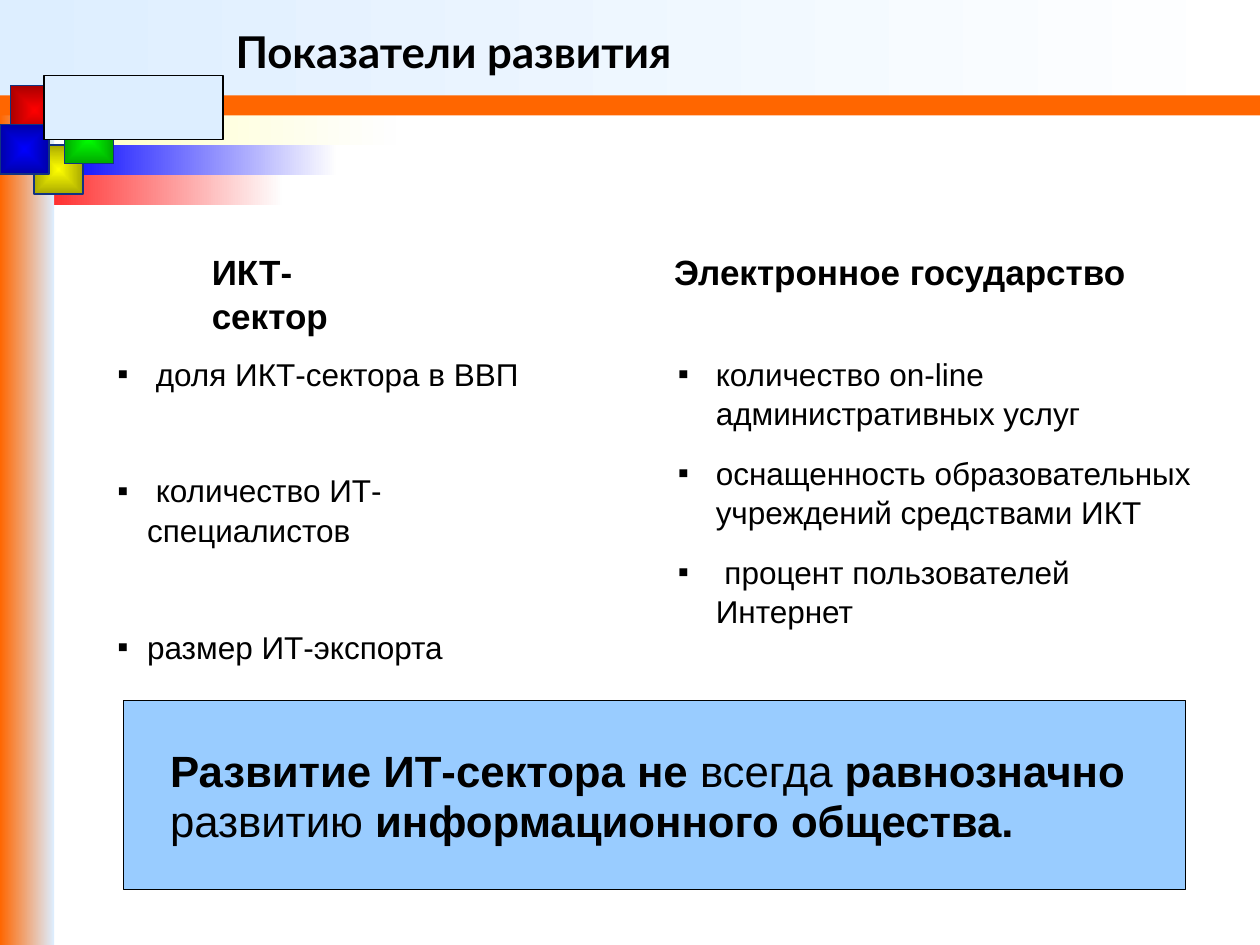
"""Build the slide about indicators of ICT sector and e-government development."""
from typing import NamedTuple, Optional

from lxml import etree
from pptx import Presentation
from pptx import util as u
from pptx.dml.color import RGBColor
from pptx.enum import shapes, text
from pptx.oxml import ns

BLACK = "000000"


class Box(NamedTuple):
    x: float
    y: float
    w: float
    h: float


class Panel(NamedTuple):
    box: Box
    start: str
    end: Optional[str] = None
    angle: float = 0
    line: Optional[str] = None
    radial: bool = False


class Run(NamedTuple):
    text: str
    bold: bool = False


class Style(NamedTuple):
    size: float
    font: str = "Arial"
    spacing: float = 1.05
    before: float = 0
    margin: float = 0
    hanging: float = 0
    bullet: str = ""


class Block(NamedTuple):
    idx: int
    box: Box
    paragraphs: list[list[Run]]
    style: Style
    insets: tuple[float, float, float, float] = (7.2, 3.6, 7.2, 3.6)
    anchor: text.MSO_ANCHOR = text.MSO_ANCHOR.TOP


def rgb(value: str) -> RGBColor:
    return RGBColor.from_string(value)


def add_panel(s, panel: Panel):
    sp = s.shapes.add_shape(shapes.MSO_SHAPE.RECTANGLE, *map(u.Pt, panel.box))
    sp.shadow.inherit = False
    if panel.end:
        sp.fill.gradient()
        sp.fill.gradient_angle = panel.angle
        for stop, color in zip(sp.fill.gradient_stops, (panel.start, panel.end)):
            stop.color.rgb = rgb(color)
    else:
        sp.fill.solid()
        sp.fill.fore_color.rgb = rgb(panel.start)
    if panel.radial:
        lin = sp.element.spPr.find(".//" + ns.qn("a:lin"))
        center = etree.Element(ns.qn("a:path"), {"path": "rect"})
        sides = dict.fromkeys("ltrb", "50000")
        etree.SubElement(center, ns.qn("a:fillToRect"), sides)
        lin.getparent().replace(lin, center)
    if panel.line:
        sp.line.color.rgb = rgb(panel.line)
        sp.line.width = u.Pt(0.75)
    else:
        sp.line.fill.background()
    return sp


def add_bullet(p, style: Style) -> None:
    pPr = p._p.get_or_add_pPr()
    pPr.set("marL", str(u.Pt(style.margin)))
    pPr.set("indent", str(u.Pt(-style.hanging)))
    color = etree.SubElement(pPr, ns.qn("a:buClr"))
    etree.SubElement(color, ns.qn("a:srgbClr"), {"val": BLACK})
    etree.SubElement(pPr, ns.qn("a:buFont"), {"typeface": "Arial"})
    etree.SubElement(pPr, ns.qn("a:buChar"), {"char": style.bullet})


def write(sp, block: Block) -> None:
    tf, style = sp.text_frame, block.style
    tf.word_wrap = True
    tf.auto_size = text.MSO_AUTO_SIZE.NONE
    tf.vertical_anchor = block.anchor
    tf.margin_left, tf.margin_top, tf.margin_right, tf.margin_bottom = map(u.Pt, block.insets)
    for i, runs in enumerate(block.paragraphs):
        p = tf.add_paragraph() if i else tf.paragraphs[0]
        if style.bullet:
            add_bullet(p, style)
        p.alignment = text.PP_ALIGN.LEFT
        p.line_spacing = style.spacing
        p.space_before = u.Pt(style.before if i else 0)
        for run in runs:
            r = p.add_run()
            r.text = run.text
            r.font.name = style.font
            r.font.size = u.Pt(style.size)
            r.font.bold = run.bold
            r.font.color.rgb = rgb(BLACK)


def fill_placeholder(s, block: Block) -> None:
    sp = next(ph for ph in s.placeholders if ph.placeholder_format.idx == block.idx)
    sp.left, sp.top, sp.width, sp.height = map(u.Pt, block.box)
    s.shapes.element.append(sp.element)
    write(sp, block)


def strip(row: int, x: float, color: str) -> Panel:
    return Panel(Box(x, 65.5 + 17.3 * row, 161.3, 17.3), "FEFEFE", color, 180)


def square(x: float, y: float, light: str, dark: str) -> Panel:
    return Panel(Box(x, y, 28.1, 28.1), light, dark, line="123381", radial=True)


PANELS = [
    strip(0, 64.8, "FFFFCC"),
    strip(2, 0, "FF0000"),
    Panel(Box(0, 65.5, 31, 474.5), "FF6600", "DDEEFF"),
    strip(1, 31, "0000FF"),
    Panel(Box(0, 0, 720, 60.5), "FFFFFF", "DDEEFF", 180),
    Panel(Box(0, 54.5, 720, 11.5), "FF6600"),
    square(5.8, 49, "FF0000", "A90000"),
    square(19.4, 82.8, "FFFF00", "A9A900"),
    square(36.7, 65.5, "00FF00", "00A900"),
    square(0, 71.3, "0000FF", "0000A9"),
    Panel(Box(25.2, 43.2, 102.2, 36.7), "DDEEFF", line=BLACK),
]

HEADING = Style(20)
BLOCKS = [
    Block(0, Box(127.4, 0, 487.4, 54.7), [[Run("Показатели развития", True)]],
          Style(25, "Lato", 0.85), (7.2, 11.5, 7.2, 2.9), text.MSO_ANCHOR.MIDDLE),
    Block(1, Box(113.8, 138.2, 126.7, 56), [[Run("ИКТ-сектор", True)]], HEADING),
    Block(2, Box(59.8, 198, 277.9, 185),
          [[Run(" доля ИКТ-сектора в ВВП")],
           [Run(" количество ИТ-специалистов")],
           [Run("размер ИТ-экспорта")]],
          Style(18, before=44, margin=17, hanging=17, bullet="▪")),
    Block(3, Box(378, 138.2, 306, 31.7), [[Run("Электронное государство", True)]], HEADING),
    Block(4, Box(360, 198, 336.2, 160),
          [[Run("количество on-line административных услуг")],
           [Run("оснащенность образовательных учреждений средствами ИКТ")],
           [Run(" процент пользователей Интернет")]],
          Style(18, before=11.2, margin=41.8, hanging=21.6, bullet="▪")),
]

CONCLUSION = Block(
    -1, Box(70.6, 400.3, 607, 108),
    [[Run("Развитие ИТ-сектора не", True), Run(" всегда "), Run("равнозначно", True),
      Run(" развитию "), Run("информационного общества.", True)]],
    Style(25, spacing=0.95), (26.6, 9.4, 26.6, 6.5), text.MSO_ANCHOR.MIDDLE)


def main() -> None:
    prs = Presentation()
    prs.slide_width, prs.slide_height = u.Pt(720), u.Pt(540)
    s = prs.slides.add_slide(prs.slide_layouts.get_by_name("Comparison"))
    for panel in PANELS:
        add_panel(s, panel)
    for block in BLOCKS:
        fill_placeholder(s, block)
    sp = add_panel(s, Panel(CONCLUSION.box, "99CCFF", line=BLACK))
    write(sp, CONCLUSION)
    prs.save("out.pptx")


if __name__ == "__main__":
    main()
